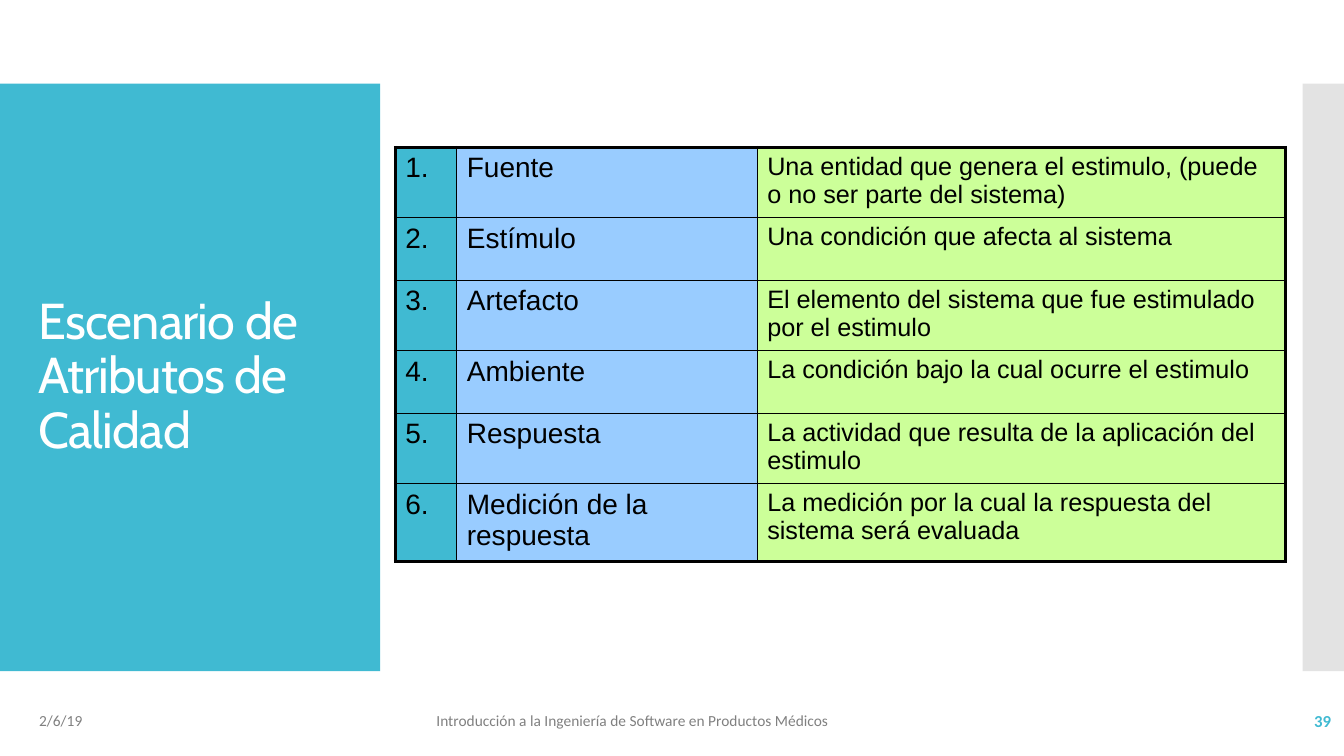
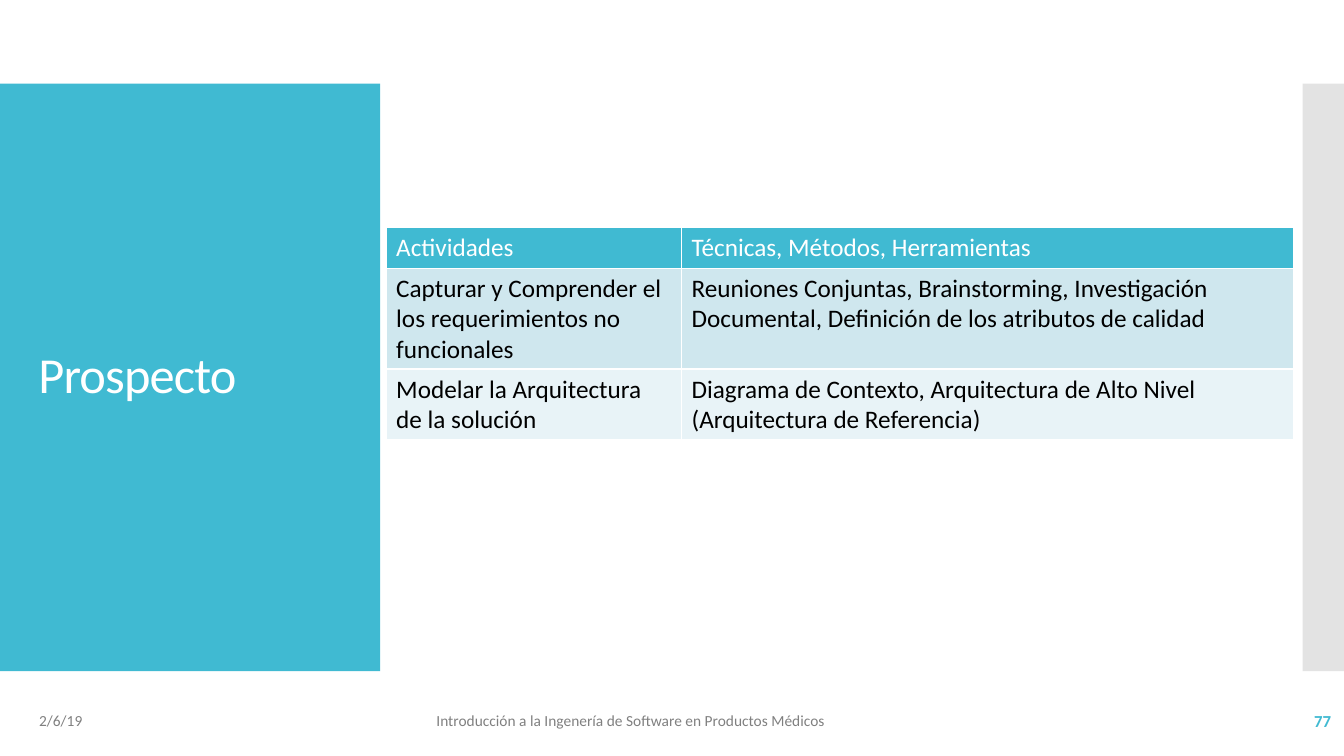
import pptx
import pptx.util
import pptx.dml.color
import pptx.enum.shapes
import pptx.enum.text
import pptx.oxml
import pptx.oxml.ns

Inches = pptx.util.Inches
Pt = pptx.util.Pt
RGBColor = pptx.dml.color.RGBColor
Align = pptx.enum.text.PP_ALIGN
Anchor = pptx.enum.text.MSO_ANCHOR

TEAL = RGBColor(0x40, 0xBA, 0xD2)
GREY_BAND = RGBColor(0xC8, 0xC8, 0xC8)
GREY_TEXT = RGBColor(0x80, 0x80, 0x80)
WHITE = RGBColor(0xFF, 0xFF, 0xFF)
BLACK = RGBColor(0x00, 0x00, 0x00)
BLUE = RGBColor(0x99, 0xCC, 0xFF)
GREEN = RGBColor(0xCC, 0xFF, 0x99)
TEAL_LIGHT = RGBColor(0xCF, 0xE7, 0xEE)
TEAL_PALE = RGBColor(0xE8, 0xF3, 0xF7)

BAND_TOP, BAND_HEIGHT = 0.83, 5.83
FOOTER_TOP, FOOTER_HEIGHT = 6.95, 0.4
DATE = "2/6/19"
TITLE_ONLY = 5


class CourseDeck:
    """Holds the course style, the presentation and the current slide."""

    font = "Calibri"

    def __init__(self):
        self.deck = pptx.Presentation()
        self.deck.slide_width = Inches(13.33)
        self.deck.slide_height = Inches(7.5)
        self.slide = None

    def add_slide(self, title, footer, number, title_font=font):
        self.slide = self.deck.slides.add_slide(self.deck.slide_layouts[TITLE_ONLY])
        self.add_band(0, 3.77, TEAL)
        self.add_band(12.92, 0.41, GREY_BAND, opacity=50)
        self.set_title(title, title_font)
        self.add_footer(0.29, 3, DATE)
        self.add_footer(4.23, 6.46, footer)
        self.add_footer(11.63, 1.67, number, 12, TEAL, True, Align.RIGHT)

    def add_band(self, left, width, color, opacity=100):
        band = self.slide.shapes.add_shape(
            pptx.enum.shapes.MSO_SHAPE.RECTANGLE,
            Inches(left), Inches(BAND_TOP), Inches(width), Inches(BAND_HEIGHT))
        band.shadow.inherit = False
        band.line.fill.background()
        band.fill.solid()
        band.fill.fore_color.rgb = color
        if opacity < 100:
            fill_color = band._element.spPr.find(".//" + pptx.oxml.ns.qn("a:srgbClr"))
            alpha = pptx.oxml.parse_xml(
                f'<a:alpha {pptx.oxml.ns.nsdecls("a")} val="{opacity * 1000}"/>')
            fill_color.append(alpha)

    def set_title(self, text, font):
        title = self.slide.shapes.title
        title.left, title.top = Inches(0.28), Inches(1.23)
        title.width, title.height = Inches(3.22), Inches(5.03)
        # Bring the title in front of the teal band.
        self.slide.shapes._spTree.append(title._element)
        frame = title.text_frame
        frame.word_wrap = True
        frame.auto_size = pptx.enum.text.MSO_AUTO_SIZE.NONE
        frame.vertical_anchor = Anchor.MIDDLE
        para = frame.paragraphs[0]
        para.alignment = Align.LEFT
        para.line_spacing = 0.9
        span = self.add_span(para, text, 36, WHITE, font)
        span._r.get_or_add_rPr().set("spc", "-60")

    def add_footer(self, left, width, text, size=11, color=GREY_TEXT,
                   bold=False, alignment=Align.LEFT):
        box = self.slide.shapes.add_textbox(
            Inches(left), Inches(FOOTER_TOP), Inches(width), Inches(FOOTER_HEIGHT))
        frame = box.text_frame
        frame.word_wrap = True
        frame.vertical_anchor = Anchor.MIDDLE
        para = frame.paragraphs[0]
        para.alignment = alignment
        self.add_span(para, text, size, color).font.bold = bold

    def add_span(self, para, text, size, color, font=font):
        span = para.add_run()
        span.text = text
        span.font.name = font
        span.font.size = Pt(size)
        span.font.color.rgb = color
        return span

    def add_table(self, left, top, widths, heights, rows, style_of, border,
                  inner=1, outer=1, font=font, space_before=0):
        """style_of(row, column) gives the fill, text colour and text size of a cell."""
        table = self.slide.shapes.add_table(
            len(rows), len(widths), Inches(left), Inches(top),
            Inches(sum(widths)), Inches(sum(heights))).table
        table.first_row = False
        table.horz_banding = False
        for column, width in zip(table.columns, widths):
            column.width = Inches(width)
        last_row, last_column = len(rows) - 1, len(widths) - 1
        for r, texts in enumerate(rows):
            table.rows[r].height = Inches(heights[r])
            for c, text in enumerate(texts):
                cell = table.cell(r, c)
                fill, color, size = style_of(r, c)
                cell.fill.solid()
                cell.fill.fore_color.rgb = fill
                para = cell.text_frame.paragraphs[0]
                para.space_before = Pt(space_before)
                self.add_span(para, text, size, color, font)
                on_edge = {"lnL": c == 0, "lnR": c == last_column,
                           "lnT": r == 0, "lnB": r == last_row}
                self.set_borders(cell, border, {
                    side: outer if edge else inner for side, edge in on_edge.items()})

    def set_borders(self, cell, color, widths):
        properties = cell._tc.get_or_add_tcPr()
        for position, (side, width) in enumerate(widths.items()):
            line = pptx.oxml.parse_xml(
                f'<a:{side} {pptx.oxml.ns.nsdecls("a")} w="{Pt(width)}">'
                f'<a:solidFill><a:srgbClr val="{color}"/></a:solidFill></a:{side}>')
            properties.insert(position, line)


def scenario_style(row, column):
    return ((TEAL, BLACK, 20), (BLUE, BLACK, 20), (GREEN, BLACK, 18))[column]


def activity_style(row, column):
    return ((TEAL, WHITE, 18), (TEAL_LIGHT, BLACK, 18), (TEAL_PALE, BLACK, 18))[row]


def main():
    course = CourseDeck()

    course.add_slide(
        "Escenario de Atributos de Calidad",
        "Introducción a la Ingeniería de Software en Productos Médicos",
        "39", title_font="Cabin")
    parts = [
        ("Fuente", "Una entidad que genera el estimulo, (puede o no ser parte del sistema)"),
        ("Estímulo", "Una condición que afecta al sistema"),
        ("Artefacto", "El elemento del sistema que fue estimulado por el estimulo"),
        ("Ambiente", "La condición bajo la cual ocurre el estimulo"),
        ("Respuesta", "La actividad que resulta de la aplicación del estimulo"),
        ("Medición de la respuesta",
         "La medición por la cual la respuesta del sistema será evaluada"),
    ]
    scenario_rows = [(f"{number}.", *part) for number, part in enumerate(parts, 1)]
    course.add_table(
        3.92, 1.46, [0.61, 2.98, 5.24], [0.62] * len(parts), scenario_rows,
        scenario_style, BLACK, outer=2.25, font="Arial", space_before=1)

    course.add_slide(
        "Prospecto",
        "Introducción a la Ingenería de Software en Productos Médicos", "77")
    activity_rows = [
        ("Actividades", "Técnicas, Métodos, Herramientas"),
        ("Capturar y Comprender el los requerimientos no funcionales",
         "Reuniones Conjuntas, Brainstorming, Investigación Documental, "
         "Definición de los atributos de calidad"),
        ("Modelar la Arquitectura de la solución",
         "Diagrama de Contexto, Arquitectura de Alto Nivel (Arquitectura de Referencia)"),
    ]
    course.add_table(
        3.83, 2.26, [2.93, 6.07], [0.4] * len(activity_rows), activity_rows,
        activity_style, WHITE)

    course.deck.save("out.pptx")


if __name__ == "__main__":
    main()
